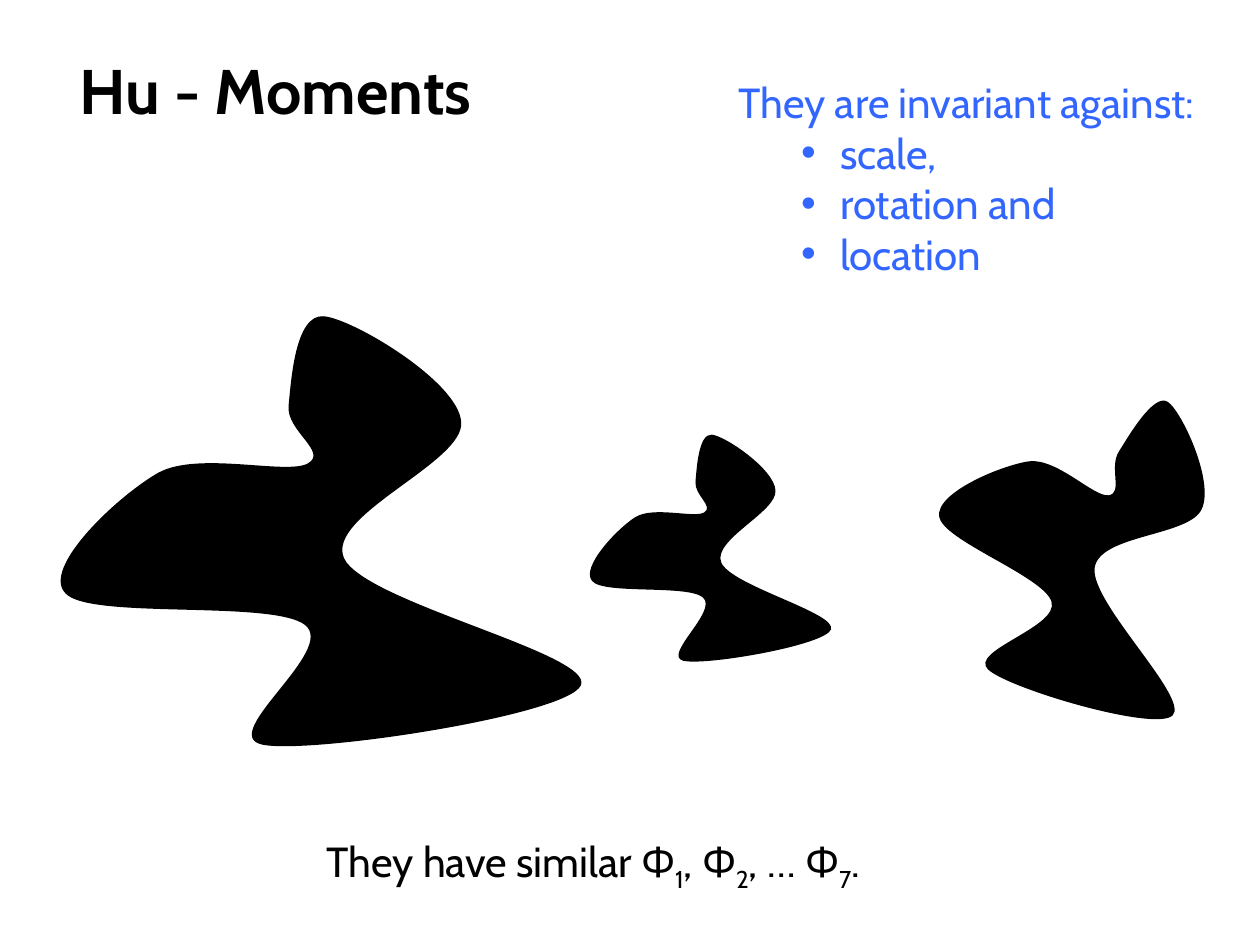
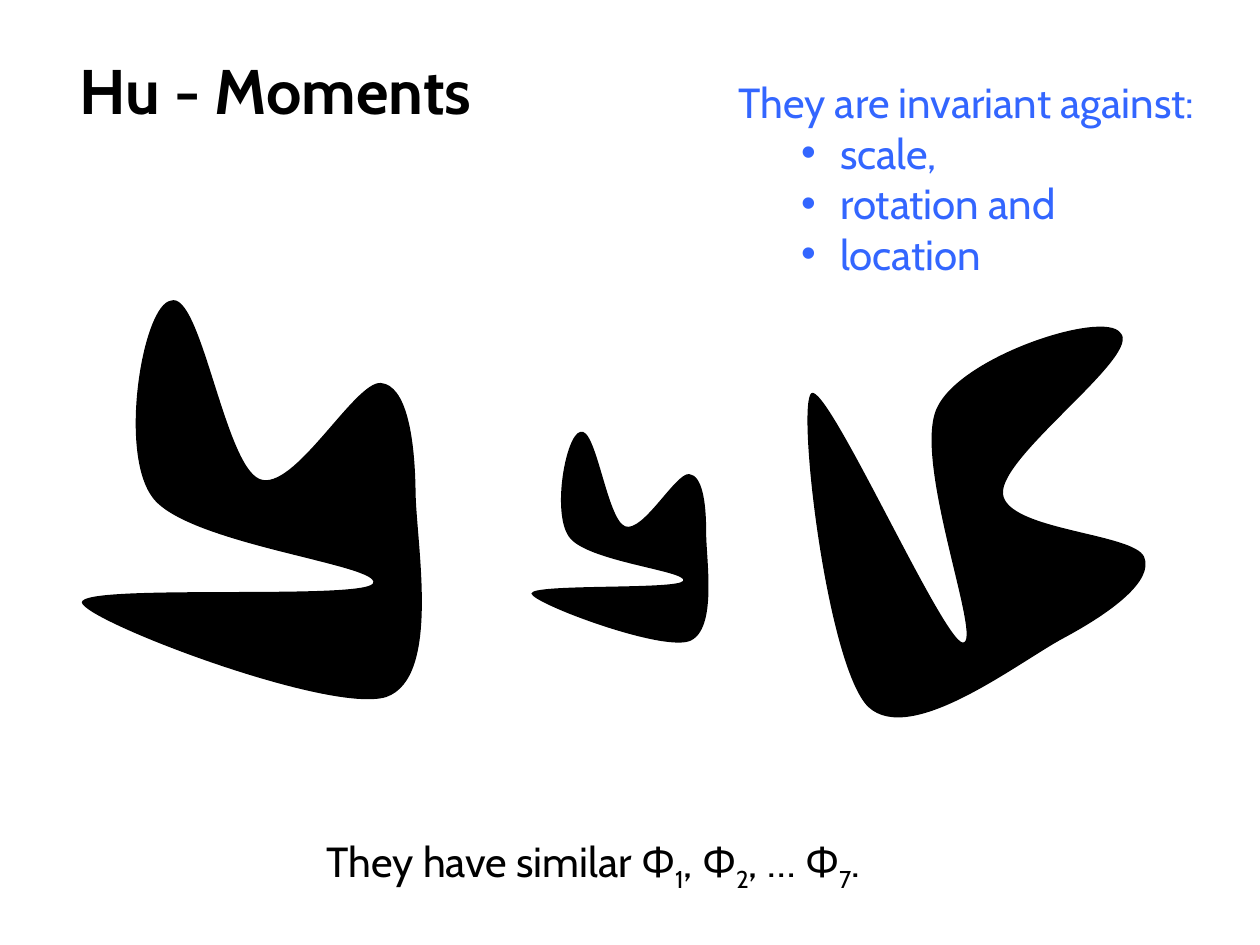
import lxml.etree
import pptx
import pptx.dml.color
import pptx.enum.shapes
import pptx.enum.text
import pptx.oxml.ns
import pptx.util

Pt = pptx.util.Pt
qn = pptx.oxml.ns.qn
FONT = "Cabin"
BLACK, WHITE, BLUE = "000000", "FFFFFF", "3366FF"
BODY_SIZE = 24

TITLE_BOX = (38.2, 25.4, 247.7, 51.1)
CLAIM_BOX = (414.7, 11.5, 306.7, 181.4)
CAPTION_BOX = (179.3, 445, 373, 65.5)

# Each outline: its size, a start point, then Bezier segments
# (two handles, end point). Every blob is fitted to its box.
BIRD = ((414, 341), (181, 71), [
    (183, 52, 186, -2, 209, 0), (232, 2, 316, 52, 318, 84),
    (321, 116, 210, 158, 225, 192), (241, 227, 424, 268, 413, 293),
    (402, 317, 197, 348, 160, 340), (124, 332, 220, 265, 194, 245),
    (168, 225, 23, 241, 4, 220), (-16, 200, 46, 142, 78, 124),
    (110, 107, 179, 126, 196, 117), (213, 108, 179, 91, 181, 71)])
CLAW = ((310, 268), (133, 113), [
    (162, 110, 164, 9, 183, 1), (202, -7, 227, 27, 247, 64),
    (266, 100, 334, 186, 302, 220), (269, 253, 62, 277, 53, 265),
    (45, 252, 249, 161, 251, 145), (252, 128, 105, 186, 64, 165),
    (23, 145, -13, 33, 5, 20), (22, 1, 103, 116, 133, 113)])

# Per slide: the outline and its (box, rotation) variants
EXAMPLES = [
    (BIRD, [((34.6, 180.7, 298.1, 245.5), 0),
            ((337, 248.4, 138.2, 129.6), 0),
            ((537.8, 218.9, 172.8, 183.6), 27.5)]),
    (CLAW, [((43.9, 198, 223.2, 193), 27.5),
            ((303.1, 259.9, 115.2, 103.7), 27.5),
            ((446.4, 201.6, 223.2, 193), 90)]),
]


def color(value):
    return pptx.dml.color.RGBColor.from_string(value)


def place(shape, box):
    shape.left, shape.top, shape.width, shape.height = map(Pt, box)


def style(font, size, value, bold=False):
    font.name, font.size, font.bold = FONT, Pt(size), bold
    font.color.rgb = color(value)


def fill_plain(shape, value):
    shape.shadow.inherit = False
    shape.fill.solid()
    shape.fill.fore_color.rgb = color(value)
    shape.line.fill.background()


def prepare_frame(shape, anchor):
    frame = shape.text_frame
    frame.word_wrap = True
    frame.auto_size = pptx.enum.text.MSO_AUTO_SIZE.NONE
    frame.vertical_anchor = anchor
    frame.margin_left = frame.margin_right = Pt(7.2)
    frame.margin_top = frame.margin_bottom = Pt(3.6)
    return frame


def add_bullet(para, value):
    para.level = 1
    properties = para._p.get_or_add_pPr()
    properties.set("marL", str(Pt(58.3)))
    properties.set("indent", str(-Pt(22.3)))
    bullet_color = lxml.etree.SubElement(properties, qn("a:buClr"))
    lxml.etree.SubElement(bullet_color, qn("a:srgbClr"), val=value)
    lxml.etree.SubElement(properties, qn("a:buFont"), typeface="Arial")
    lxml.etree.SubElement(properties, qn("a:buChar"), char="•")


def add_title(page, box):
    title = page.shapes.title
    place(title, box)
    frame = prepare_frame(title, pptx.enum.text.MSO_ANCHOR.MIDDLE)
    frame.text = "Hu - Moments"
    para = frame.paragraphs[0]
    para.alignment = pptx.enum.text.PP_ALIGN.LEFT
    style(para.runs[0].font, 36, BLACK, bold=True)


def add_claim(page, box):
    claim = page.shapes.add_textbox(*map(Pt, box))
    frame = prepare_frame(claim, pptx.enum.text.MSO_ANCHOR.TOP)
    frame.margin_top = Pt(32.4)
    frame.text = "They are invariant against:\nscale,\nrotation and\nlocation"
    for para in frame.paragraphs[1:]:
        add_bullet(para, BLUE)
    for para in frame.paragraphs:
        style(para.runs[0].font, BODY_SIZE, BLUE)


def add_caption(page, box):
    caption = page.shapes.add_shape(
        pptx.enum.shapes.MSO_SHAPE.RECTANGLE, *map(Pt, box))
    fill_plain(caption, WHITE)
    frame = prepare_frame(caption, pptx.enum.text.MSO_ANCHOR.TOP)
    frame.margin_top = Pt(32.4)
    para = frame.paragraphs[0]
    para.alignment = pptx.enum.text.PP_ALIGN.LEFT
    for text in ("They have similar Φ", "1", ", Φ", "2", ", … Φ", "7", "."):
        span = para.add_run()
        span.text = text
        style(span.font, BODY_SIZE, BLACK)
        if text.isdigit():
            span._r.get_or_add_rPr().set("baseline", "-25000")


def bend(blob, size, start, segments):
    """Turn the straight sides of a freeform into Bezier curves."""
    curve = blob._element.find(".//" + qn("a:path"))
    curve.set("w", str(size[0]))
    curve.set("h", str(size[1]))
    for child in list(curve):
        curve.remove(child)
    steps = [("a:moveTo", start)]
    steps += [("a:cubicBezTo", segment) for segment in segments]
    for tag, numbers in steps:
        step = lxml.etree.SubElement(curve, qn(tag))
        for x, y in zip(numbers[::2], numbers[1::2]):
            lxml.etree.SubElement(step, qn("a:pt"), x=str(x), y=str(y))
    lxml.etree.SubElement(curve, qn("a:close"))


def add_blob(page, outline, box, rotation):
    size, start, segments = outline
    builder = page.shapes.build_freeform(*start, scale=Pt(1))
    builder.add_line_segments([segment[-2:] for segment in segments])
    blob = builder.convert_to_shape()
    bend(blob, size, start, segments)
    place(blob, box)
    blob.rotation = rotation
    fill_plain(blob, BLACK)


def add_moments_slide(deck, outline, variants):
    page = deck.slides.add_slide(deck.slide_layouts[5])
    page.background.fill.solid()
    page.background.fill.fore_color.rgb = color(WHITE)
    add_title(page, TITLE_BOX)
    add_caption(page, CAPTION_BOX)
    for box, rotation in variants:
        add_blob(page, outline, box, rotation)
    add_claim(page, CLAIM_BOX)


def main():
    deck = pptx.Presentation()
    deck.slide_width, deck.slide_height = Pt(720), Pt(540)
    for outline, variants in EXAMPLES:
        add_moments_slide(deck, outline, variants)
    deck.save("out.pptx")


if __name__ == "__main__":
    main()
